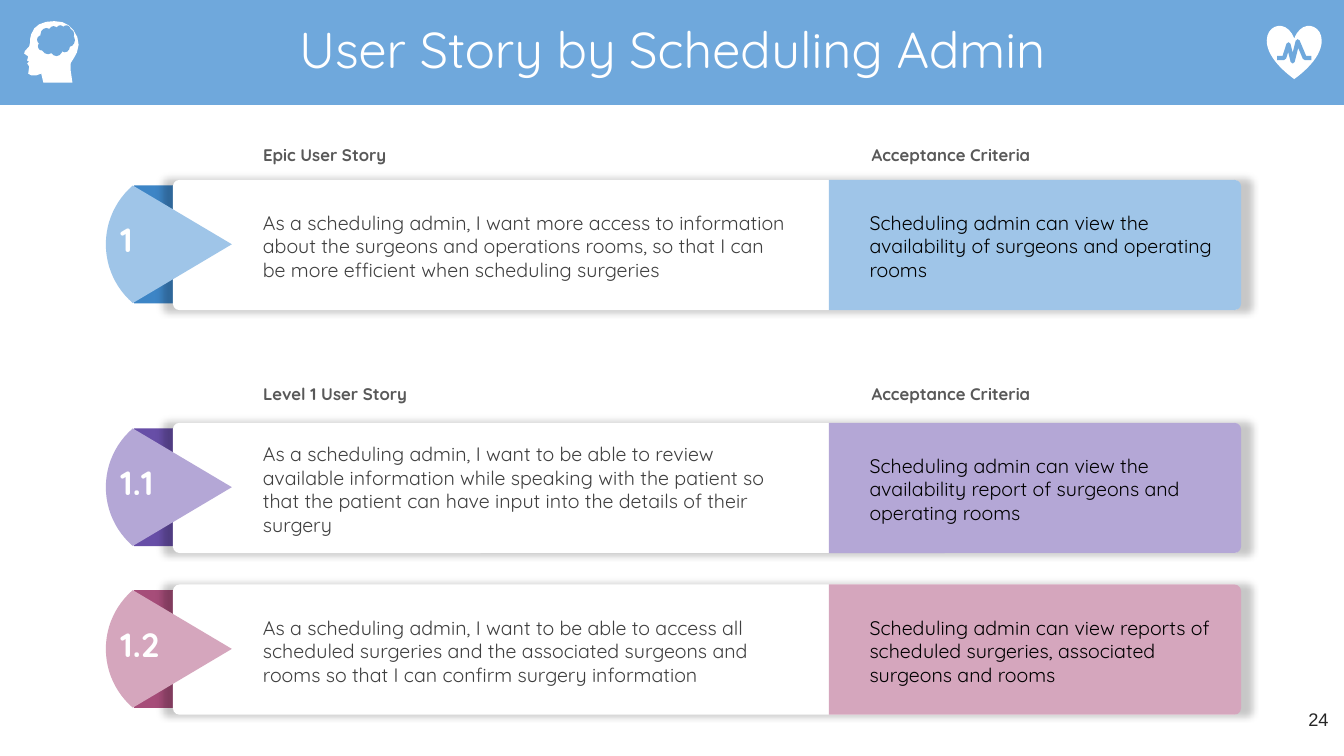
from math import asin, cos, sin
from pptx import Presentation
from pptx.dml.color import RGBColor
from pptx.enum.shapes import MSO_SHAPE
from pptx.enum.text import MSO_ANCHOR, MSO_AUTO_SIZE, PP_ALIGN
from pptx.oxml import parse_xml
from pptx.util import Pt

RECT = MSO_SHAPE.RECTANGLE
ROUND = MSO_SHAPE.ROUNDED_RECTANGLE
PANEL = MSO_SHAPE.ROUND_2_SAME_RECTANGLE
HEART = MSO_SHAPE.HEART
CLOUD = MSO_SHAPE.CLOUD
TOP, MIDDLE = MSO_ANCHOR.TOP, MSO_ANCHOR.MIDDLE
LEFT, CENTER, RIGHT = PP_ALIGN.LEFT, PP_ALIGN.CENTER, PP_ALIGN.RIGHT
NO_FIT = MSO_AUTO_SIZE.NONE

WHITE = RGBColor(0xFF, 0xFF, 0xFF)
BLACK = RGBColor(0, 0, 0)
INK = RGBColor(0x3F, 0x3F, 0x3F)
GREY = RGBColor(0x59, 0x59, 0x59)
DARK = RGBColor(0x26, 0x26, 0x26)
HEADER = RGBColor(0x6F, 0xA8, 0xDC)
BLUE = RGBColor(0x9F, 0xC5, 0xE8)
NAVY = RGBColor(0x3D, 0x85, 0xC6)
LILAC = RGBColor(0xB4, 0xA7, 0xD6)
PURPLE = RGBColor(0x67, 0x4E, 0xA7)
PINK = RGBColor(0xD5, 0xA6, 0xBD)
PLUM = RGBColor(0xA6, 0x4D, 0x79)

SHADOW = (
    '<a:effectLst xmlns:a="http://schemas.openxmlformats.org/drawingml/2006/main">'
    '<a:outerShdw blurRad="63500" sx="102000" sy="102000" algn="ctr" rotWithShape="0">'
    '<a:srgbClr val="000000"><a:alpha val="22000"/></a:srgbClr>'
    '</a:outerShdw></a:effectLst>')

ROWS = [
    (128.5, "1", BLUE, NAVY,
     "As a scheduling admin, I want more access to information about the surgeons "
     "and operations rooms, so that I can be more efficient when scheduling surgeries",
     "Scheduling admin can view the availability of surgeons and operating rooms"),
    (302, "1.1", LILAC, PURPLE,
     "As a scheduling admin, I want to be able to review available information while "
     "speaking with the patient so that the patient can have input into the details "
     "of their surgery",
     "Scheduling admin can view the availability report of surgeons and operating rooms"),
    (417.5, "1.2", PINK, PLUM,
     "As a scheduling admin, I want to be able to access all scheduled surgeries and "
     "the associated surgeons and rooms so that I can confirm surgery information",
     "Scheduling admin can view reports of scheduled surgeries, associated surgeons "
     "and rooms"),
]
HEADS = [(100, "Epic User Story"), (270.5, "Level 1 User Story")]

PULSE = [(912.2, 41.4), (917.3, 41.4), (920.4, 31.7), (923.4, 43.9),
         (927, 29.5), (932, 41.4), (936.7, 41.4)]
FACE = [(38.9, 15.1), (33, 15.6), (28, 17.4), (24.6, 20.2), (22.3, 24.5),
        (21.5, 28), (21.5, 30.5), (20.9, 33.1), (17.8, 36.5), (17.3, 38.2),
        (20.2, 40.3), (19.4, 43.2), (20.9, 43.9), (19.5, 45.3), (20.9, 47.5),
        (20.2, 52.6), (22.5, 53.9), (26, 53.8), (29.5, 52.6), (31, 59),
        (51.8, 59), (50.5, 50), (50.6, 45), (52.6, 41.8), (55, 37.5),
        (56.2, 32), (55.3, 26.5), (52.5, 21.5), (49, 18), (44.5, 15.8)]


class Deck:
    def __init__(self, slide, font):
        self.slide, self.font = slide, font

    def paint(self, shape, fill):
        shape.shadow.inherit = False
        shape.fill.solid()
        shape.fill.fore_color.rgb = fill
        shape.line.fill.background()
        return shape

    def shape(self, kind, x, y, w, h, fill):
        return self.paint(self.slide.shapes.add_shape(kind, Pt(x), Pt(y), Pt(w), Pt(h)), fill)

    def outline(self, points, closed=True):
        spots = [(Pt(x), Pt(y)) for x, y in points]
        pen = self.slide.shapes.build_freeform(*spots[0])
        pen.add_line_segments(spots[1:], close=closed)
        return pen.convert_to_shape()

    def label(self, box, text, size, color, bold=False, align=LEFT,
              anchor=MIDDLE, side=7.2, edge=3.6, font=None):
        frame = box.text_frame
        frame.word_wrap = True
        frame.auto_size = NO_FIT
        frame.vertical_anchor = anchor
        frame.margin_left = frame.margin_right = Pt(side)
        frame.margin_top = frame.margin_bottom = Pt(edge)
        frame.text = text
        line = frame.paragraphs[0]
        line.alignment = align
        line.font.name = font or self.font
        line.font.size = Pt(size)
        line.font.bold = bold
        line.font.color.rgb = color
        return line

    def text(self, x, y, w, h, *words, **style):
        box = self.slide.shapes.add_textbox(Pt(x), Pt(y), Pt(w), Pt(h))
        self.label(box, *words, **style)

    def title(self, text):
        self.shape(RECT, 0, 0, 960, 75, HEADER)
        box = self.slide.shapes.title
        box.left, box.top, box.width, box.height = Pt(24.5), Pt(8.6), Pt(911.5), Pt(57)
        self.label(box, text, 36, WHITE, align=CENTER).line_spacing = 0.9
        self.slide.shapes._spTree.append(box._element)

    def fan(self, y, fill):
        half, radius, hub = 42, 55.4, 131
        turn = asin(half / radius)
        steps = 24
        arc = []
        for i in range(steps + 1):
            angle = turn * (2 * i / steps - 1)
            arc.append((hub - radius * cos(angle), y + radius * sin(angle)))
        self.paint(self.outline([(165.6, y)] + arc), fill)

    def row(self, y, mark, light, deep, story, goal):
        self.shape(RECT, 95.8, y + 4, 173.5, 84.2, deep)
        card = self.shape(ROUND, 123.5, y, 762.5, 93, WHITE)
        card.adjustments[0] = 0.05
        props = card._element.spPr
        props.remove(props.effectLst)
        props.append(parse_xml(SHADOW))
        self.fan(y + 46, light)
        wide, tall = 294.5, 93
        shift = (wide - tall) / 2
        panel = self.shape(PANEL, 592 + shift, y - shift, tall, wide, light)
        panel.rotation = 90
        panel.adjustments[0] = 0.05
        self.text(180.7, y + 13.5, 389.5, 67.7, story, 14, INK)
        self.text(614, y + 13.5, 262, 67.7, goal, 14, BLACK)
        self.text(77.4, y + 17, 90, 51, mark, 24, WHITE, bold=True, side=8.6)

    def heads(self, y, text):
        for x, words in ((179.3, text), (614, "Acceptance Criteria")):
            self.text(x, y, 201, 21.6, words, 12, GREY, bold=True, side=8.6)

    def icons(self):
        self.shape(HEART, 905, 18, 39, 38.5, WHITE)
        pulse = self.outline(PULSE, closed=False)
        pulse.shadow.inherit = False
        pulse.fill.background()
        pulse.line.color.rgb = HEADER
        pulse.line.width = Pt(3)
        self.paint(self.outline(FACE), WHITE)
        self.shape(CLOUD, 26.5, 18, 27, 22, HEADER)


def main():
    show = Presentation()
    show.slide_width, show.slide_height = Pt(960), Pt(540)
    deck = Deck(show.slides.add_slide(show.slide_layouts[5]), "Quicksand")
    for row in ROWS:
        deck.row(*row)
    for head in HEADS:
        deck.heads(*head)
    deck.title("User Story by Scheduling Admin")
    deck.icons()
    deck.text(898.5, 499, 57.6, 41, "24", 13, DARK, align=RIGHT,
              anchor=TOP, edge=7.2, font="Arial")
    show.save("out.pptx")


if __name__ == "__main__":
    main()
